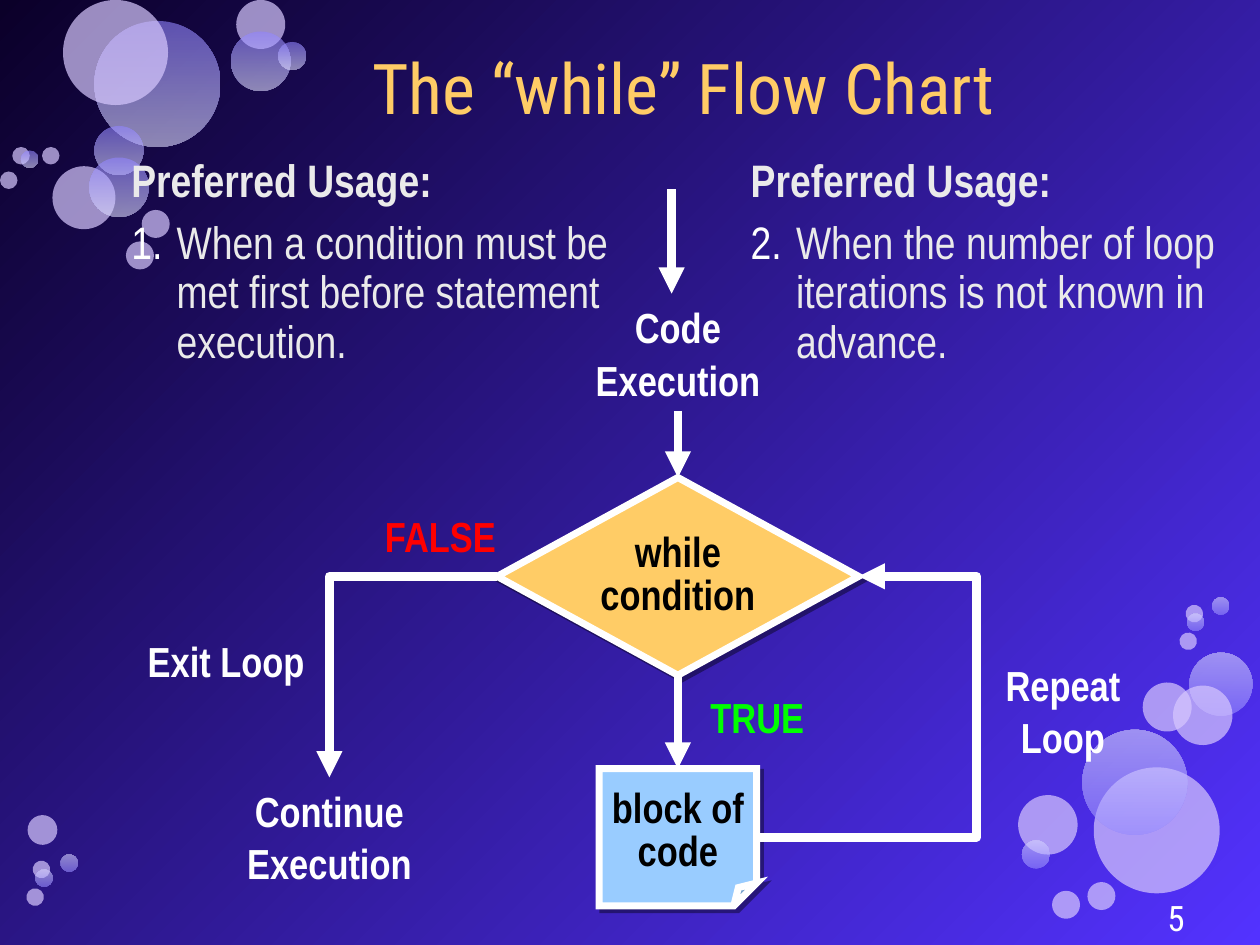
from typing import NamedTuple, Optional

from lxml import etree
from pptx import Presentation
from pptx import util as u
from pptx.dml.color import RGBColor
from pptx.enum import shapes as sh, text as tx
from pptx.oxml.ns import qn

NARROW, ROBOTO = "Arial Narrow", "Roboto Condensed"
WHITE, PALE, GOLD = "FFFFFF", "EAEAEA", "FFCC66"
CENTER_X = 387.4  # axis of the flow chart
TOP, LEFT, BOTTOM, RIGHT = range(4)
CENTERED = tx.PP_ALIGN.CENTER


class Bubble(NamedTuple):
    x: float
    y: float
    size: float
    shaded: bool = False


class Label(NamedTuple):
    text: str
    x: float
    y: float
    w: float
    h: float
    color: str = WHITE
    wrap: bool = True
    align: tx.PP_ALIGN = CENTERED
    size: float = 24
    font: str = NARROW
    bold: bool = True
    anchor: tx.MSO_ANCHOR = tx.MSO_ANCHOR.TOP


class Node(NamedTuple):
    text: str
    kind: sh.MSO_SHAPE
    y: float
    w: float
    h: float
    fill: str
    anchor: tx.MSO_ANCHOR
    top_inset: float


class Usage(NamedTuple):
    number: int
    text: str
    x: float
    h: float


UPPER_BUBBLES = [
    Bubble(54, 12, 72, True), Bubble(30, 95, 36), Bubble(54, 72, 28, True),
    Bubble(51, 90, 34, True), Bubble(36, 0, 60), Bubble(135, 0, 28),
    Bubble(132, 18, 34, True), Bubble(159, 24, 16, True), Bubble(81, 120, 16),
    Bubble(7, 84, 10), Bubble(72, 138, 16), Bubble(0, 98, 10),
    Bubble(12, 86, 10, True), Bubble(24, 84, 10),
]
LOWER_BUBBLES = [
    Bubble(625, 438.5, 72), Bubble(679.7, 373, 36, True), Bubble(653, 390, 28),
    Bubble(670.3, 391.7, 34), Bubble(618.5, 417, 60, True), Bubble(15.8, 465.8, 17),
    Bubble(581.8, 454.3, 34), Bubble(584, 480.2, 16, True), Bubble(601.2, 509, 16),
    Bubble(677.5, 345.6, 10), Bubble(621.4, 504, 16), Bubble(692.6, 341.3, 10, True),
    Bubble(678.2, 350.6, 10, True), Bubble(674, 361.4, 10), Bubble(18.7, 491.8, 10),
    Bubble(34.6, 488.2, 10, True), Bubble(20.2, 496.8, 10, True), Bubble(15.1, 507.6, 10),
]
USAGES = [
    Usage(1, "When a condition must be met first before statement execution.", 75, 156),
    Usage(2, "When the number of loop iterations is not known in advance.", 429, 132),
]
CODE = Label("Code Execution", CENTER_X - 60.85, 167.8, 121.7, 67)
CONTINUE = Label("Continue Execution", 127.4, 444.2, 121.7, 67)
NOTES = [
    Label("FALSE", 212.4, 287.3, 78.5, 37.4, "FF0000", wrap=False),
    Label("TRUE", 398.9, 390.2, 80, 37.4, "00FF00", align=tx.PP_ALIGN.LEFT),
    Label("Repeat\nLoop", 567.4, 372.2, 80, 67, wrap=False),
    Label("Exit Loop", 68.4, 358.6, 121.7, 37.4),
    Label("5", 516.2, 513.4, 167.8, 20.2, align=tx.PP_ALIGN.RIGHT, size=20,
          font=ROBOTO, bold=False, anchor=tx.MSO_ANCHOR.MIDDLE),
]
CONDITION = Node("while condition", sh.MSO_SHAPE.DIAMOND, 272.9, 206.6, 113,
                 GOLD, tx.MSO_ANCHOR.TOP, 3.6)
BLOCK = Node("block of code", sh.MSO_SHAPE.FOLDED_CORNER, 439.2, 90, 78.5,
             "99CCFF", tx.MSO_ANCHOR.MIDDLE, 10.8)


def rgb(value: str) -> RGBColor:
    return RGBColor.from_string(value)


def place(shape, x: float, y: float, w: float, h: float) -> None:
    shape.left, shape.top, shape.width, shape.height = map(u.Pt, (x, y, w, h))


def set_insets(frame, left: float, top: float, right: float, bottom: float) -> None:
    frame.margin_left, frame.margin_top = u.Pt(left), u.Pt(top)
    frame.margin_right, frame.margin_bottom = u.Pt(right), u.Pt(bottom)


def add_run(paragraph, words: str, size: float, font: str, color: str, bold: bool) -> None:
    run = paragraph.add_run()
    run.text = words
    run.font.size, run.font.name, run.font.bold = u.Pt(size), font, bold
    run.font.color.rgb = rgb(color)


def set_gradient(fill, start: str, end: str, clockwise: float) -> None:
    fill.gradient()
    fill.gradient_angle = 360 - clockwise
    for stop, color in zip(fill.gradient_stops, (start, end)):
        stop.color.rgb = rgb(color)


def add_bubble(slide, bubble: Bubble, turned: bool) -> None:
    x, y, size, shaded = bubble
    oval = slide.shapes.add_shape(sh.MSO_SHAPE.OVAL, *map(u.Pt, (x, y, size, size)))
    oval.shadow.inherit = False
    oval.line.fill.background()
    if shaded:
        set_gradient(oval.fill, "9185FF", "DEDCFF", 90)
        oval._element.spPr.find(qn("a:gradFill")).set("rotWithShape", "0")
    else:
        oval.fill.solid()
        oval.fill.fore_color.rgb = rgb("D7C8FE")
    for color in oval._element.spPr.iter(qn("a:srgbClr")):
        etree.SubElement(color, qn("a:alpha"), val="60000" if shaded else "70000")
    if turned:
        oval.rotation = 103.3
        oval._element.spPr.find(qn("a:xfrm")).set("flipV", "1")


def add_label(slide, label: Label):
    box = slide.shapes.add_textbox(*map(u.Pt, (label.x, label.y, label.w, label.h)))
    frame = box.text_frame
    frame.word_wrap, frame.vertical_anchor = label.wrap, label.anchor
    for i, line in enumerate(label.text.split("\n")):
        paragraph = frame.add_paragraph() if i else frame.paragraphs[0]
        paragraph.alignment, paragraph.line_spacing = label.align, 1.04
        add_run(paragraph, line, label.size, label.font, label.color, label.bold)
    return box


def add_node(slide, node: Node):
    shape = slide.shapes.add_shape(
        node.kind, *map(u.Pt, (CENTER_X - node.w / 2, node.y, node.w, node.h)))
    shape.fill.solid()
    shape.fill.fore_color.rgb = rgb(node.fill)
    shape.line.color.rgb, shape.line.width = rgb(WHITE), u.Pt(4)
    etree.SubElement(shape.line._get_or_add_ln(), qn("a:miter"), lim="800000")
    shape.shadow.inherit = False
    effects = shape._element.spPr.find(qn("a:effectLst"))
    shadow = etree.SubElement(effects, qn("a:outerShdw"), dist=str(u.Pt(3)), dir="2700000")
    black = etree.SubElement(shadow, qn("a:srgbClr"), val="000000")
    etree.SubElement(black, qn("a:alpha"), val="40000")
    frame = shape.text_frame
    frame.word_wrap, frame.vertical_anchor = True, node.anchor
    set_insets(frame, 3.6, node.top_inset, 3.6, 3.6)
    paragraph = frame.paragraphs[0]
    paragraph.alignment, paragraph.line_spacing = CENTERED, 0.85
    add_run(paragraph, node.text, 24, NARROW, "000000", True)
    return shape


def add_arrow(slide, start: Optional[tuple] = None, end: Optional[tuple] = None,
              kind=sh.MSO_CONNECTOR.STRAIGHT, points=(0, 0, 0, 0)):
    """Draw an arrow between points, or between (shape, side) joints."""
    arrow = slide.shapes.add_connector(kind, *map(u.Pt, points))
    if start:
        arrow.begin_connect(*start)
    if end:
        arrow.end_connect(*end)
    arrow.line.color.rgb, arrow.line.width = rgb(WHITE), u.Pt(5)
    etree.SubElement(arrow.line._get_or_add_ln(), qn("a:tailEnd"), type="triangle")
    etree.SubElement(arrow._element.spPr, qn("a:effectLst"))
    return arrow


def fill_usage(body, usage: Usage) -> None:
    place(body, usage.x, 90, 279.4, usage.h)
    frame = body.text_frame
    frame.auto_size, frame.word_wrap = tx.MSO_AUTO_SIZE.NONE, True
    frame.vertical_anchor = tx.MSO_ANCHOR.TOP
    set_insets(frame, 0, 0, 0, 0)
    heading, item = frame.paragraphs[0], frame.add_paragraph()
    for paragraph in (heading, item):
        props = paragraph._p.get_or_add_pPr()
        props.set("marL", str(u.Pt(25.9)))
        props.set("indent", str(-u.Pt(25.9)))
    etree.SubElement(heading._p.pPr, qn("a:buNone"))
    bullet_color = etree.SubElement(item._p.pPr, qn("a:buClr"))
    etree.SubElement(bullet_color, qn("a:srgbClr"), val=WHITE)
    etree.SubElement(item._p.pPr, qn("a:buAutoNum"), type="arabicPeriod",
                     startAt=str(usage.number))
    for paragraph, words, space, bold in ((heading, "Preferred Usage:", 0, True),
                                          (item, usage.text, 7, False)):
        paragraph.line_spacing, paragraph.space_before = 0.91, u.Pt(space)
        add_run(paragraph, words, 26, NARROW, PALE, bold)


def main() -> None:
    deck = Presentation()
    deck.slide_width, deck.slide_height = u.Pt(720), u.Pt(540)
    slide = deck.slides.add_slide(deck.slide_layouts[3])
    title, *bodies = slide.placeholders
    # Background and bubbles, behind the placeholders
    set_gradient(slide.background.fill, "0B0029", "5332FF", 45)
    for bubbles, turned in ((UPPER_BUBBLES, False), (LOWER_BUBBLES, True)):
        for bubble in bubbles:
            add_bubble(slide, bubble, turned)
    for holder in (title, *bodies):
        slide.shapes._spTree.append(holder._element)
    # Title and the two usage lists
    place(title, 75, 16.6, 631.4, 63.4)
    frame = title.text_frame
    frame.auto_size, frame.vertical_anchor = tx.MSO_AUTO_SIZE.NONE, tx.MSO_ANCHOR.MIDDLE
    set_insets(frame, 0, 0, 0, 0)
    heading = frame.paragraphs[0]
    heading.alignment, heading.line_spacing = CENTERED, 1.04
    add_run(heading, "The “while” Flow Chart", 40, ROBOTO, GOLD, False)
    for body, usage in zip(bodies, USAGES):
        fill_usage(body, usage)
    # Flow chart steps and labels
    block, condition = add_node(slide, BLOCK), add_node(slide, CONDITION)
    code, proceed = add_label(slide, CODE), add_label(slide, CONTINUE)
    for note in NOTES:
        add_label(slide, note)
    # Arrows
    add_arrow(slide, points=(383.8, 108, 383.8, 167.8))
    add_arrow(slide, (code, BOTTOM), (condition, TOP))
    add_arrow(slide, (condition, BOTTOM), (block, TOP))
    leave = add_arrow(slide, (condition, LEFT), (proceed, TOP), sh.MSO_CONNECTOR.ELBOW)
    leave._element.spPr.find(qn("a:prstGeom")).set("prst", "bentConnector2")
    repeat = add_arrow(slide, (block, RIGHT), (condition, RIGHT), sh.MSO_CONNECTOR.ELBOW)
    guides = repeat._element.spPr.find(qn("a:prstGeom")).find(qn("a:avLst"))
    etree.SubElement(guides, qn("a:gd"), name="adj1", fmla="val 215700")
    deck.save("out.pptx")


if __name__ == "__main__":
    main()
